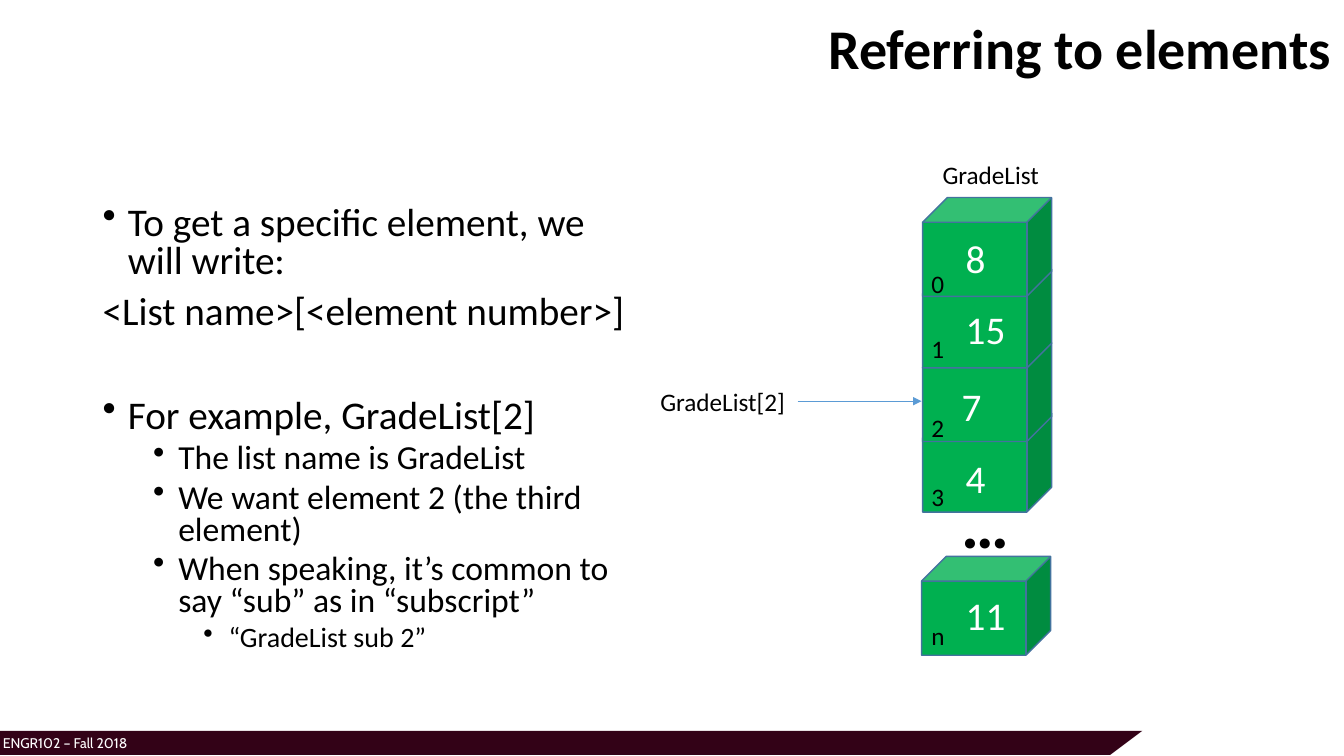
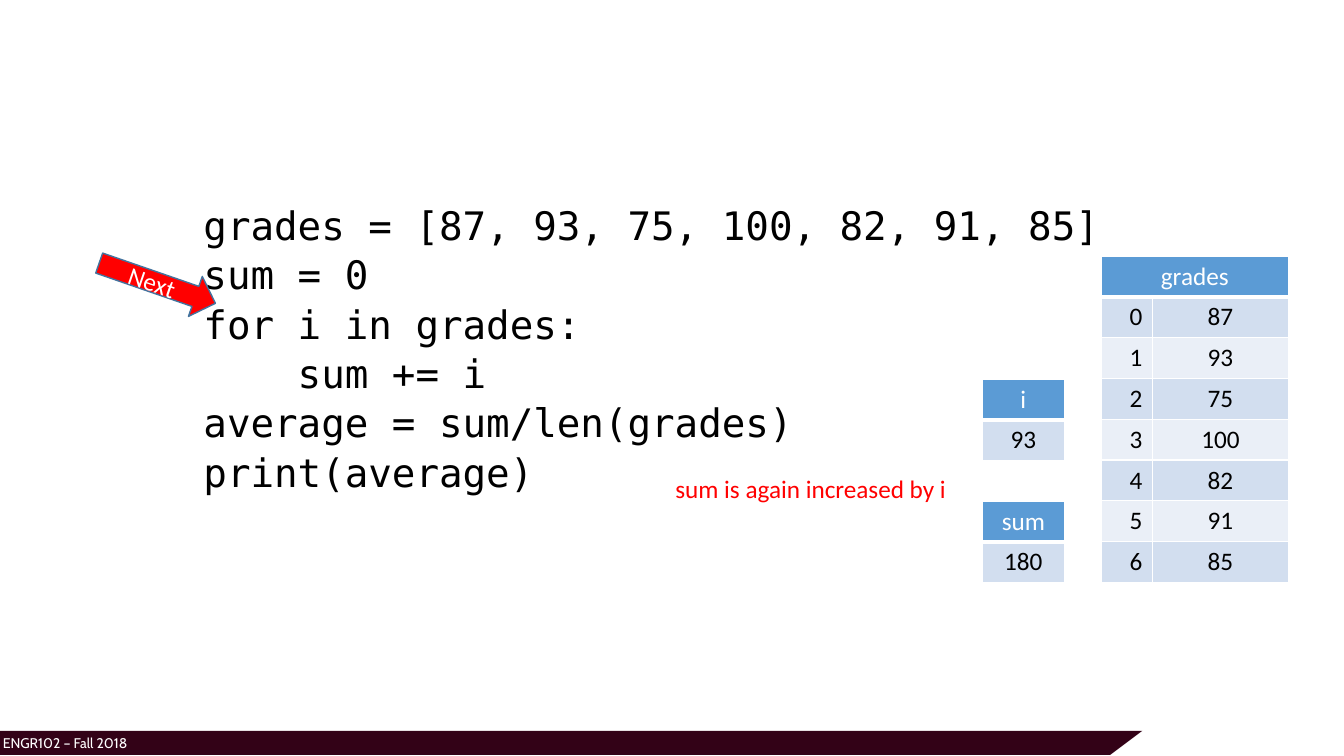
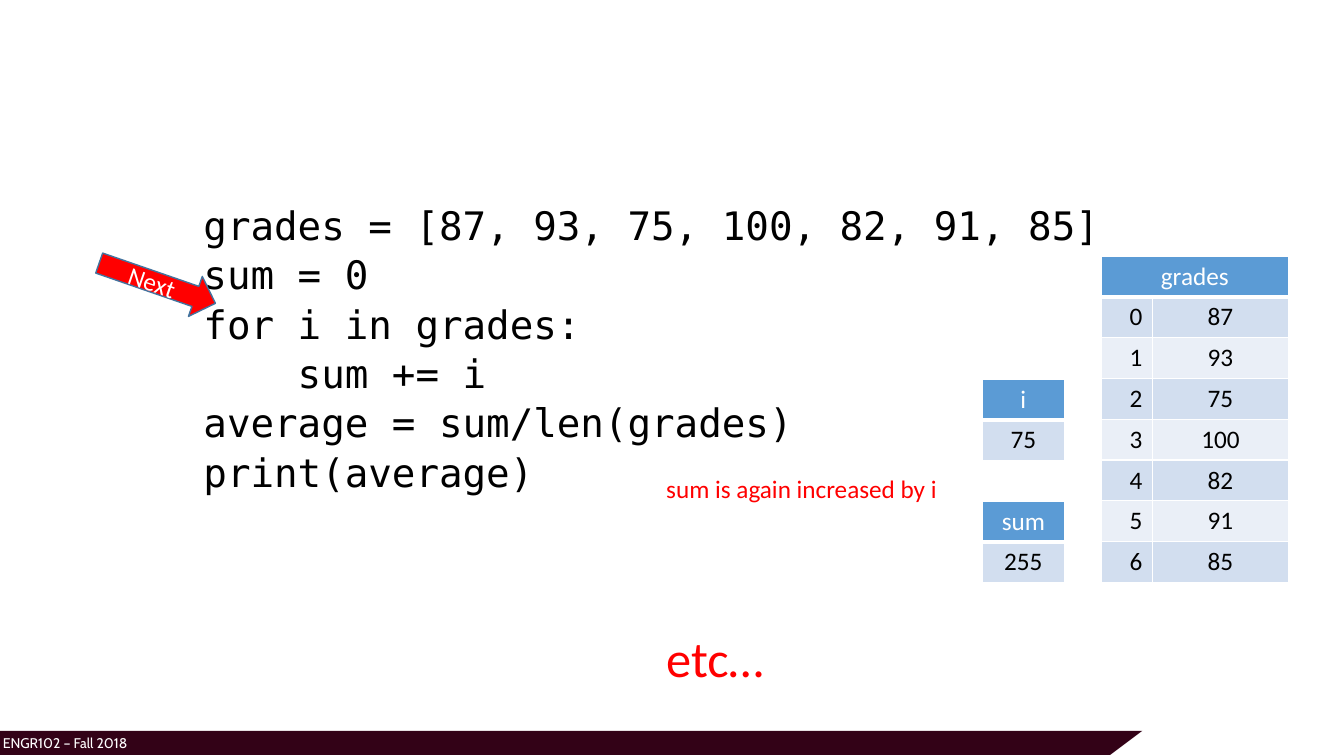
from lxml import etree
from pptx import Presentation
from pptx.dml.color import RGBColor
from pptx.enum.shapes import MSO_CONNECTOR, MSO_SHAPE
from pptx.enum.text import MSO_ANCHOR, MSO_AUTO_SIZE, PP_ALIGN
from pptx.oxml.ns import qn
from pptx.util import Inches, Pt

CUBE, RIGHT_ARROW = MSO_SHAPE.CUBE, MSO_SHAPE.RIGHT_ARROW
STRAIGHT = MSO_CONNECTOR.STRAIGHT
MIDDLE = MSO_ANCHOR.MIDDLE
FIT_SHAPE = MSO_AUTO_SIZE.SHAPE_TO_FIT_TEXT
LEFT, CENTER, RIGHT = PP_ALIGN.LEFT, PP_ALIGN.CENTER, PP_ALIGN.RIGHT

THEME = {
    "black": RGBColor.from_string("000000"),
    "white": RGBColor.from_string("FFFFFF"),
    "maroon": RGBColor.from_string("330217"),
    "green": RGBColor.from_string("00B050"),
    "red": RGBColor.from_string("FF0000"),
    "outline": RGBColor.from_string("43739E"),
    "blue": RGBColor.from_string("5B9BD5"),
    "bands": [RGBColor.from_string("EAEFF7"), RGBColor.from_string("D2DEEF")],
    "title": {"name": "Calibri", "size": Pt(40), "bold": True},
    "body": {"name": "Calibri", "size": Pt(28)},
    "body_second": {"name": "Calibri", "size": Pt(24)},
    "body_third": {"name": "Calibri", "size": Pt(20)},
    "label": {"name": "Calibri", "size": Pt(18), "bold": False},
    "large_note": {"name": "Calibri", "size": Pt(36)},
    "ellipsis": {"name": "Calibri", "size": Pt(48), "bold": True},
    "code": {"name": "DejaVu Sans Mono", "size": Pt(28)},
    "footer": {"name": "Cabin", "size": Pt(10)},
}


def write(frame, lines, color="black", **common):
    for number, (text, style, layout) in enumerate(lines):
        para = frame.paragraphs[0] if number == 0 else frame.add_paragraph()
        layout = {**common, **layout}
        margin, hanging, bullet = layout.pop("indent", (0, 0, False))
        properties = para._p.get_or_add_pPr()
        properties.set("marL", str(Inches(margin)))
        properties.set("indent", str(Inches(hanging)))
        if bullet:
            etree.SubElement(properties, qn("a:buChar"), char="•")
        if number == 0:
            layout["space_before"] = Pt(0)
        for name, value in layout.items():
            setattr(para, name, value)
        span = para.add_run()
        span.text = text
        for name, value in THEME[style].items():
            setattr(span.font, name, value)
        span.font.color.rgb = THEME[color]


def add_text(page, place, lines, color="black", wrap=True, **common):
    box = page.shapes.add_textbox(*[Inches(length) for length in place])
    box.text_frame.word_wrap = wrap
    if not wrap:
        box.text_frame.auto_size = FIT_SHAPE
    write(box.text_frame, lines, color, **common)
    return box


deck = Presentation()
deck.slide_width, deck.slide_height = Inches(13.33), Inches(7.5)
pages = [deck.slides.add_slide(deck.slide_layouts[6]) for _ in range(3)]

for page in pages:
    outline = page.shapes.build_freeform(Inches(-0.01), Inches(7.25))
    outline.add_line_segments(
        [(Inches(x), Inches(y)) for x, y in [(11.33, 7.25), (11.01, 7.49), (-0.02, 7.49)]]
    )
    band = outline.convert_to_shape()
    band.shadow.inherit = False
    band.fill.solid()
    band.fill.fore_color.rgb = THEME["maroon"]
    band.line.fill.background()
    add_text(page, (-0.07, 7.24, 7.5, 0.3), [("ENGR102 – Fall 2018", "footer", {})], "white")

page = pages[0]
title = add_text(page, (5.97, 0, 7.33, 1.01), [("Referring to elements", "title", {})],
                 alignment=RIGHT, line_spacing=0.9)
title.text_frame.vertical_anchor = MIDDLE

first = {"indent": (0.25, -0.25, True), "space_before": Pt(10)}
second = {"indent": (0.75, -0.25, True), "space_before": Pt(5)}
third = {"indent": (1.25, -0.25, True), "space_before": Pt(5)}
add_text(page, (0.92, 2, 5.54, 4.76), [
    ("To get a specific element, we will write:", "body", first),
    ("<List name>[<element number>]", "body", {"space_before": Pt(10)}),
    ("For example, GradeList[2]", "body", {**first, "space_before": Pt(47)}),
    ("The list name is GradeList", "body_second", second),
    ("We want element 2 (the third element)", "body_second", second),
    ("When speaking, it’s common to say “sub” as in “subscript”", "body_second", second),
    ("“GradeList sub 2”", "body_third", third),
], line_spacing=0.8)

elements = [
    ("n", "11", 5.52, 6.11, (9.48, 5.82)),
    ("3", "4", 4.1, 4.73, (9.48, 4.46)),
    ("2", "7", 3.4, 4.04, (9.44, 3.74)),
    ("1", "15", 2.67, 3.26, (9.48, 2.98)),
    ("0", "8", 1.96, 2.61, (9.48, 2.28)),
]
for index, value, cube_top, index_top, value_place in elements:
    cube_left = 9.14 if index == "n" else 9.15
    cube = page.shapes.add_shape(
        CUBE, Inches(cube_left), Inches(cube_top), Inches(1.28), Inches(0.98))
    cube.shadow.inherit = False
    cube.fill.solid()
    cube.fill.fore_color.rgb = THEME["green"]
    cube.line.color.rgb = THEME["outline"]
    cube.line.width = Pt(1)
for index, value, cube_top, index_top, value_place in elements:
    add_text(page, (9.14, index_top, 0.33, 0.4), [(index, "label", {})], wrap=False)
    add_text(page, (*value_place, 0.2 + 0.2 * len(value), 0.57),
             [(value, "body", {})], "white", wrap=False)

for text, style, place in [
    ("GradeList", "label", (9.25, 1.53, 1.17, 0.4)),
    ("…", "ellipsis", (9.44, 4.73, 0.68, 0.91)),
    ("GradeList[2]", "label", (6.45, 3.78, 1.45, 0.4)),
]:
    add_text(page, place, [(text, style, {})], wrap=False)

pointer = page.shapes.add_connector(
    STRAIGHT, Inches(7.91), Inches(3.98), Inches(9.14), Inches(3.98))
pointer.line.color.rgb = THEME["blue"]
pointer.line.width = Pt(0.5)
etree.SubElement(pointer.line._get_or_add_ln(), qn("a:tailEnd"), type="triangle")
etree.SubElement(pointer._element.spPr, qn("a:effectLst"))

code = [
    "grades = [87, 93, 75, 100, 82, 91, 85]",
    "sum = 0",
    "for i in grades:",
    "    sum += i",
    "average = sum/len(grades)",
    "print(average)",
]
grades = [87, 93, 75, 100, 82, 91, 85]
grade_rows = [["grades", ""]] + [[str(index), str(grade)] for index, grade in enumerate(grades)]
row_height = 0.405
increase = ("sum is again increased by i", "label", {})
steps = [
    (pages[1], "93", "180", (6.6, 4.65, 3.14, 0.71), [increase]),
    (pages[2], "75", "255", (6.51, 4.65, 3.23, 2.22),
     [increase, ("etc…", "large_note", {"space_before": Pt(88)})]),
]
for page, current, total, note_place, note in steps:
    add_text(page, (0.92, 2, 11.5, 4.76), [(line, "code", {}) for line in code],
             indent=(1, 0, False), line_spacing=0.9, space_before=Pt(5))

    for left, top, widths, rows in [
        (10.92, 2.54, [0.51, 1.35], grade_rows),
        (9.74, 4.97, [0.82], [["sum"], [total]]),
        (9.74, 3.76, [0.82], [["i"], [current]]),
    ]:
        table = page.shapes.add_table(
            len(rows), len(widths), Inches(left), Inches(top),
            Inches(sum(widths)), Inches(row_height * len(rows))).table
        table.first_row = table.horz_banding = False
        for column, width in zip(table.columns, widths):
            column.width = Inches(width)
        if len(widths) > 1:
            table.cell(0, 0).merge(table.cell(0, 1))
        for row, texts in enumerate(rows):
            table.rows[row].height = Inches(row_height)
            for column, text in enumerate(texts):
                cell = table.cell(row, column)
                properties = cell._tc.get_or_add_tcPr()
                for side in ("lnL", "lnR", "lnT", "lnB"):
                    weight = 3 if row == 0 and side == "lnB" else 1
                    border = etree.SubElement(properties, qn("a:" + side), w=str(Pt(weight)))
                    paint = etree.SubElement(border, qn("a:solidFill"))
                    etree.SubElement(paint, qn("a:srgbClr"), val=str(THEME["white"]))
                cell.fill.solid()
                cell.fill.fore_color.rgb = THEME["bands"][row % 2] if row else THEME["blue"]
                if not cell.is_spanned:
                    is_index = row > 0 and column < len(widths) - 1
                    write(cell.text_frame, [(text, "label", {})],
                          "black" if row else "white",
                          alignment=RIGHT if is_index else CENTER)

    arrow = page.shapes.add_shape(
        RIGHT_ARROW, Inches(0.95), Inches(2.6), Inches(1.22), Inches(0.42))
    arrow.rotation = 19.1
    arrow.shadow.inherit = False
    arrow.fill.solid()
    arrow.fill.fore_color.rgb = THEME["red"]
    arrow.line.color.rgb = THEME["outline"]
    arrow.line.width = Pt(1)
    arrow.text_frame.vertical_anchor = MIDDLE
    write(arrow.text_frame, [("Next", "label", {})], "white", alignment=CENTER)

    add_text(page, note_place, note, "red", alignment=LEFT)

deck.save("out.pptx")
